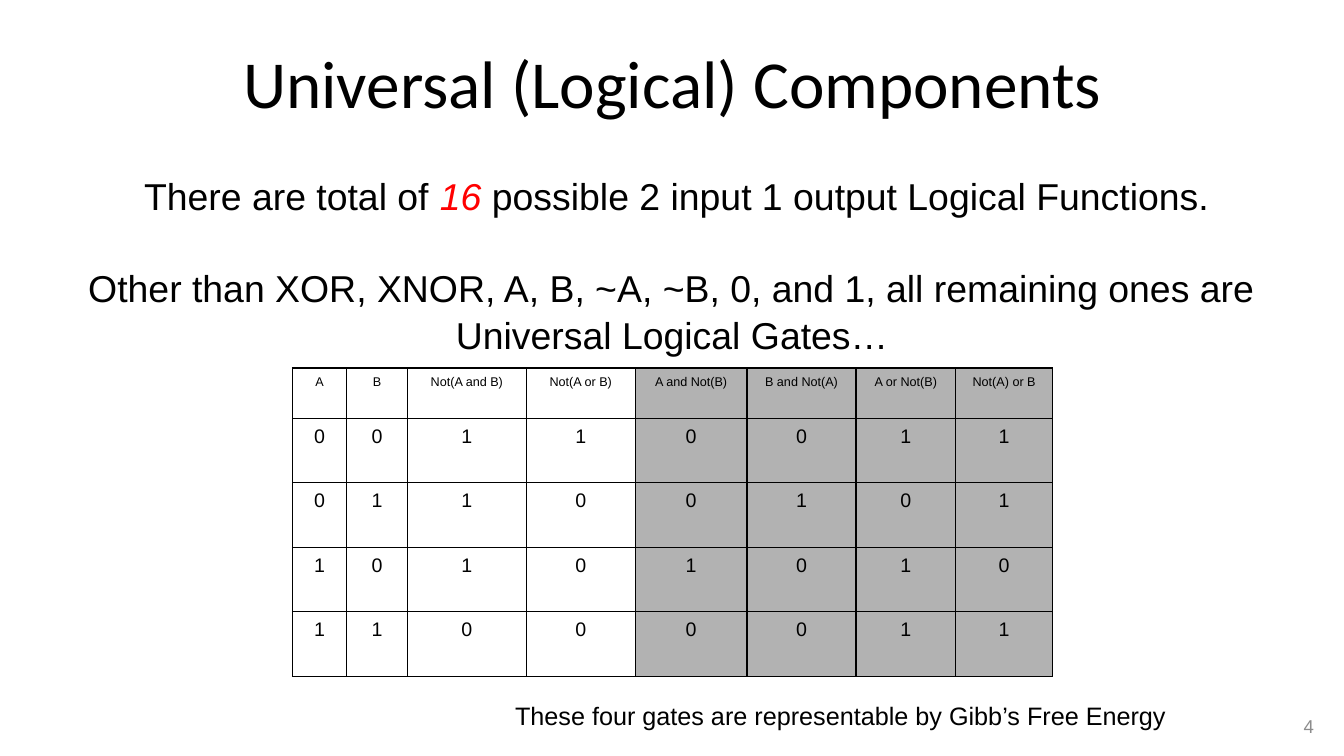
from dataclasses import dataclass

from lxml.etree import SubElement
from pptx import Presentation
from pptx.dml.color import RGBColor as RGB
from pptx.enum.shapes import MSO_SHAPE as Shape
from pptx.enum.text import MSO_ANCHOR as Anchor, PP_ALIGN as Align
from pptx.oxml.ns import qn
from pptx.util import Inches, Pt


@dataclass(frozen=True)
class Theme:
    heading_font: str = "Calibri"
    body_font: str = "Arial"
    ink: str = "000000"
    paper: str = "FFFFFF"
    accent: str = "FF0000"
    muted: str = "8C8C8C"
    shade: str = "B2B2B2"
    title: float = 48
    statement: float = 26.7
    note: float = 18
    value: float = 14
    number: float = 13.3
    gate: float = 9


theme = Theme()


def add_run(paragraph, text, size, color=theme.ink, name=theme.body_font, italic=False):
    run = paragraph.add_run()
    run.text = text
    formats = {"size": Pt(size), "name": name, "italic": italic}
    for attribute, value in formats.items():
        setattr(run.font, attribute, value)
    run.font.color.rgb = RGB.from_string(color)


def draw_borders(cell):
    """Rule all four sides of a table cell with a 1 pt line."""
    properties = cell._tc.get_or_add_tcPr()
    for position, side in enumerate(("a:lnL", "a:lnR", "a:lnT", "a:lnB")):
        line = SubElement(properties, qn(side), w=str(Pt(1)))
        SubElement(SubElement(line, qn("a:solidFill")), qn("a:srgbClr"), val=theme.ink)
        properties.remove(line)
        properties.insert(position, line)


prs = Presentation()
prs.slide_width, prs.slide_height = Inches(13.33), Inches(7.5)
slide = prs.slides.add_slide(prs.slide_layouts[6])

# Single-line texts: title, page number and note under the table
single_lines = [
    ("Universal (Logical) Components", (2.27, 0.36, 8.8, 0.91), Align.CENTER, Anchor.TOP,
     {"size": theme.title, "name": theme.heading_font}),
    ("4", (12.63, 7.01, 0.5, 0.39), Align.RIGHT, Anchor.MIDDLE,
     {"size": theme.number, "color": theme.muted}),
    ("These four gates are representable by Gibb’s Free Energy", (5.01, 6.9, 6.72, 0.4),
     Align.LEFT, Anchor.TOP, {"size": theme.note}),
]
for text, place, alignment, anchor, style in single_lines:
    frame = slide.shapes.add_textbox(*map(Inches, place)).text_frame
    frame.word_wrap = False
    frame.vertical_anchor = anchor
    frame.paragraphs[0].alignment = alignment
    add_run(frame.paragraphs[0], text, **style)

# Statement about the logical functions
statement = slide.shapes.add_shape(
    Shape.RECTANGLE, Inches(0.74), Inches(1.65), Inches(11.86), Inches(1.9))
statement.shadow.inherit = False
statement.fill.solid()
statement.fill.fore_color.rgb = RGB.from_string(theme.paper)
statement.line.fill.background()
statement.text_frame.word_wrap = False
statement.text_frame.vertical_anchor = Anchor.TOP

sentences = [
    (0, [(" There are total of ", {}),
         ("16", {"color": theme.accent, "italic": True}),
         (" possible 2 input 1 output Logical Functions.", {})]),
    (32, [("Other than XOR, XNOR, A, B, ~A, ~B, 0, and 1, all remaining ones are", {})]),
    (0, [("Universal Logical Gates…", {})]),
]
for index, (gap, runs) in enumerate(sentences):
    frame = statement.text_frame
    sentence = frame.add_paragraph() if index else frame.paragraphs[0]
    sentence.alignment = Align.CENTER
    sentence.line_spacing = 1.05
    if gap:
        sentence.space_before = Pt(gap)
    for text, style in runs:
        add_run(sentence, text, theme.statement, **style)

# Truth table, with the last four gates shaded
truth_rows = [
    ["A", "B", "Not(A and B)", "Not(A or B)",
     "A and Not(B)", "B and Not(A)", "A or Not(B)", "Not(A) or B"],
    "00110011",
    "01100101",
    "10101010",
    "11000011",
]
column_widths = [0.54, 0.6, 1.18, 1.08, 1.11, 1.08, 0.99, 0.96]
row_heights = [0.5] + [0.64] * 4
first_shaded = 4

truth_table = slide.shapes.add_table(
    len(row_heights), len(column_widths), Inches(2.9), Inches(3.65),
    Inches(sum(column_widths)), Inches(sum(row_heights))).table
for column, width in zip(truth_table.columns, column_widths):
    column.width = Inches(width)
for row, height in zip(truth_table.rows, row_heights):
    row.height = Inches(height)

for r, entries in enumerate(truth_rows):
    for c, entry in enumerate(entries):
        cell = truth_table.cell(r, c)
        for side in ("left", "right", "top", "bottom"):
            setattr(cell, f"margin_{side}", Inches(0.07))
        cell.fill.solid()
        cell.fill.fore_color.rgb = RGB.from_string(
            theme.shade if c >= first_shaded else theme.paper)
        draw_borders(cell)
        label = cell.text_frame.paragraphs[0]
        label.alignment = Align.CENTER
        add_run(label, entry, theme.value if r else theme.gate)

prs.save("out.pptx")
